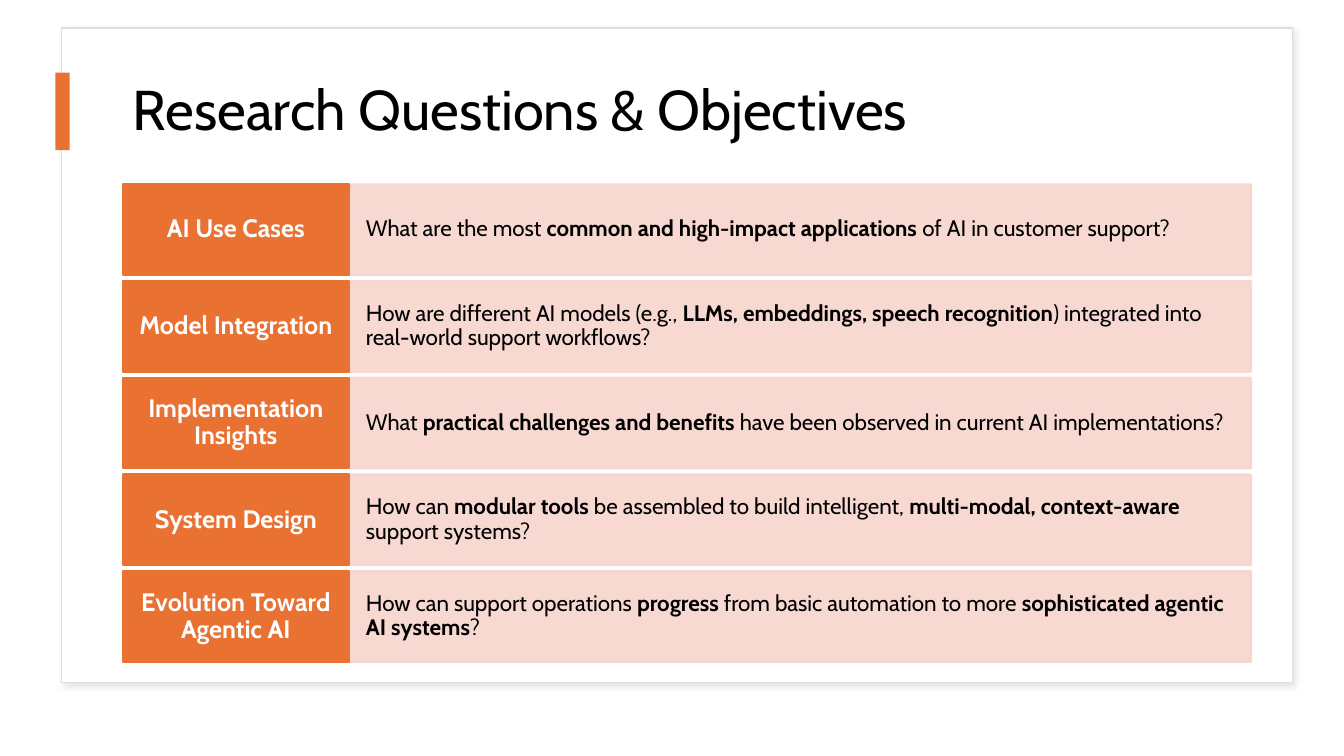
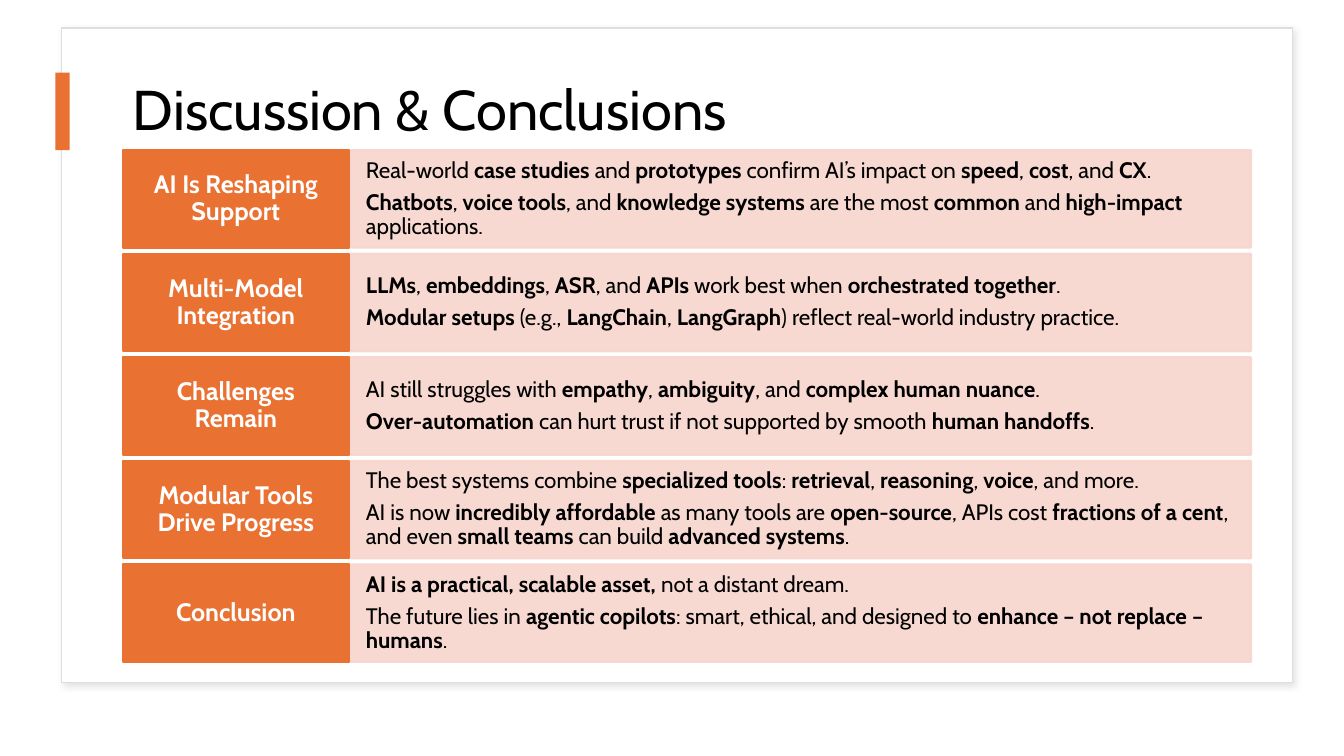
from lxml import etree
from pptx import Presentation
from pptx.dml.color import RGBColor
from pptx.enum.shapes import MSO_SHAPE as Preset
from pptx.enum.text import MSO_ANCHOR as Anchor, PP_ALIGN as Align
from pptx.oxml.ns import qn
from pptx.util import Inches, Pt

FONT = "Cabin"
WHITE, BLACK, BORDER, SHADOW = "FFFFFF", "000000", "DEDEDE", "C5C5C5"
ORANGE, BLUSH = "E97132", "F7D5CE"

# Left edges and widths in percent of the slide's width
LABEL_LEFT, LABEL_WIDTH = 9.15, 16.8
DETAIL_LEFT, DETAIL_WIDTH = LABEL_LEFT + LABEL_WIDTH, 67.13
# Vertical measures in percent of the slide's height
ROWS_BOTTOM, ROW_GAP = 87.55, 0.8

QUESTIONS = [
    ("AI Use Cases",
     ["What are the most **common and high-impact applications** of AI in customer support?"]),
    ("Model Integration",
     ["How are different AI models (e.g., **LLMs, embeddings, speech recognition**) "
      "integrated into real-world support workflows?"]),
    ("Implementation Insights",
     ["What **practical challenges and benefits** have been observed in current AI "
      "implementations?"]),
    ("System Design",
     ["How can **modular tools** be assembled to build intelligent, "
      "**multi-modal, context-aware** support systems?"]),
    ("Evolution Toward Agentic AI",
     ["How can support operations **progress** from basic automation to more "
      "**sophisticated agentic AI systems**?"]),
]

CONCLUSIONS = [
    ("AI Is Reshaping Support",
     ["Real-world **case studies** and **prototypes** confirm AI’s impact on **speed**, "
      "**cost**, and **CX**.",
      "**Chatbots**, **voice tools**, and **knowledge systems** are the most **common** and "
      "**high-impact** applications."]),
    ("Multi-Model Integration",
     ["**LLMs**, **embeddings**, **ASR**, and **APIs** work best when "
      "**orchestrated together**.",
      "**Modular setups** (e.g., **LangChain**, **LangGraph**) reflect real-world industry "
      "practice."]),
    ("Challenges Remain",
     ["AI still struggles with **empathy**, **ambiguity**, and **complex human nuance**.",
      "**Over-automation** can hurt trust if not supported by smooth **human handoffs**."]),
    ("Modular Tools Drive Progress",
     ["The best systems combine **specialized tools**: **retrieval**, **reasoning**, "
      "**voice**, and more.",
      "AI is now **incredibly affordable** as many tools are **open-source**, APIs cost "
      "**fractions of a cent**, and even **small teams** can build **advanced systems**."]),
    ("Conclusion",
     ["**AI is a practical, scalable asset, **not a distant dream.",
      "The future lies in **agentic copilots**: smart, ethical, and designed to "
      "**enhance – not replace – humans**."]),
]


def rgb(code):
    return RGBColor.from_string(code)


def set_alpha(colour, percent):
    etree.SubElement(colour, qn("a:alpha"), val=str(percent * 1000))


def write(frame, paragraphs, size=16, color=BLACK, align=Align.LEFT, after=0):
    """Fill a text frame; text between ** marks is bold."""
    frame.word_wrap = True
    frame.vertical_anchor = Anchor.MIDDLE
    for index, text in enumerate(paragraphs):
        paragraph = frame.add_paragraph() if index else frame.paragraphs[0]
        paragraph.alignment = align
        paragraph.line_spacing = 0.9
        paragraph.space_before = Pt(0)
        paragraph.space_after = Pt(after)
        for part, words in enumerate(text.split("**")):
            if words:
                run = paragraph.add_run()
                run.text = words
                run.font.name = FONT
                run.font.size = Pt(size)
                run.font.color.rgb = rgb(color)
                run.font.bold = part % 2 == 1


class Deck:
    """Holds the presentation, its style and the current slide; lengths are percentages."""

    def __init__(self):
        self.prs = Presentation()
        self.prs.slide_width, self.prs.slide_height = Inches(13.33), Inches(7.5)
        self.slide = None

    def across(self, percent):
        return round(self.prs.slide_width * percent / 100)

    def down(self, percent):
        return round(self.prs.slide_height * percent / 100)

    def place(self, left, top, width, height):
        return self.across(left), self.down(top), self.across(width), self.down(height)

    def panel(self, area, fill, line=None, line_width=1.5, alpha=None):
        panel = self.slide.shapes.add_shape(Preset.RECTANGLE, *self.place(*area))
        panel.shadow.inherit = False
        panel.fill.solid()
        panel.fill.fore_color.rgb = rgb(fill)
        if line:
            panel.line.color.rgb = rgb(line)
            panel.line.width = Pt(line_width)
        else:
            panel.line.fill.background()
        if alpha:
            for colour in list(panel._element.spPr.iter(qn("a:srgbClr"))):
                set_alpha(colour, alpha)
        return panel

    def card(self):
        card = self.panel((4.58, 3.73, 91.58, 86.53), WHITE, BORDER, 1)
        effects = card._element.spPr.find(qn("a:effectLst"))
        shadow = etree.SubElement(effects, qn("a:outerShdw"), blurRad=str(Pt(4)),
                                  dist=str(Pt(3)), dir=str(45 * 60000), algn="tl",
                                  rotWithShape="0")
        set_alpha(etree.SubElement(shadow, qn("a:srgbClr"), val=SHADOW), 50)

    def title(self, text):
        heading = self.slide.shapes.add_textbox(*self.place(LABEL_LEFT, 7.47, 83.93, 14.8))
        write(heading.text_frame, [text], size=40)

    def cell(self, area, paragraphs, fill, side_inset, inset_share, alpha=None, **text_format):
        """Draw a filled cell whose vertical inset is a share of its height."""
        cell = self.panel(area, fill, fill, alpha=alpha)
        frame = cell.text_frame
        frame.margin_left = frame.margin_right = self.across(side_inset)
        frame.margin_top = frame.margin_bottom = self.down(area[3] * inset_share)
        write(frame, paragraphs, **text_format)

    def rows(self, entries, top):
        """Stack equal rows from top down to the shared bottom edge."""
        pitch = (ROWS_BOTTOM - top + ROW_GAP) / len(entries)
        height = pitch - ROW_GAP
        for index, (label, details) in enumerate(entries):
            row_top = top + index * pitch
            self.cell((DETAIL_LEFT, row_top, DETAIL_WIDTH, height), details, BLUSH,
                      1.28, 0.25, alpha=90, after=5.5)
            self.cell((LABEL_LEFT, row_top, LABEL_WIDTH, height), [f"**{label}**"], ORANGE,
                      0.9, 0.1, size=18, color=WHITE, align=Align.CENTER, after=6)

    def add_slide(self, title, entries, rows_top):
        self.slide = self.prs.slides.add_slide(self.prs.slide_layouts[6])
        self.card()
        self.title(title)
        self.panel((4.13, 9.6, 1.05, 10.27), ORANGE)
        self.rows(entries, rows_top)


def main():
    deck = Deck()
    deck.add_slide("Research Questions & Objectives", QUESTIONS, 24.4)
    deck.add_slide("Discussion & Conclusions", CONCLUSIONS, 19.87)
    deck.prs.save("out.pptx")


if __name__ == "__main__":
    main()
